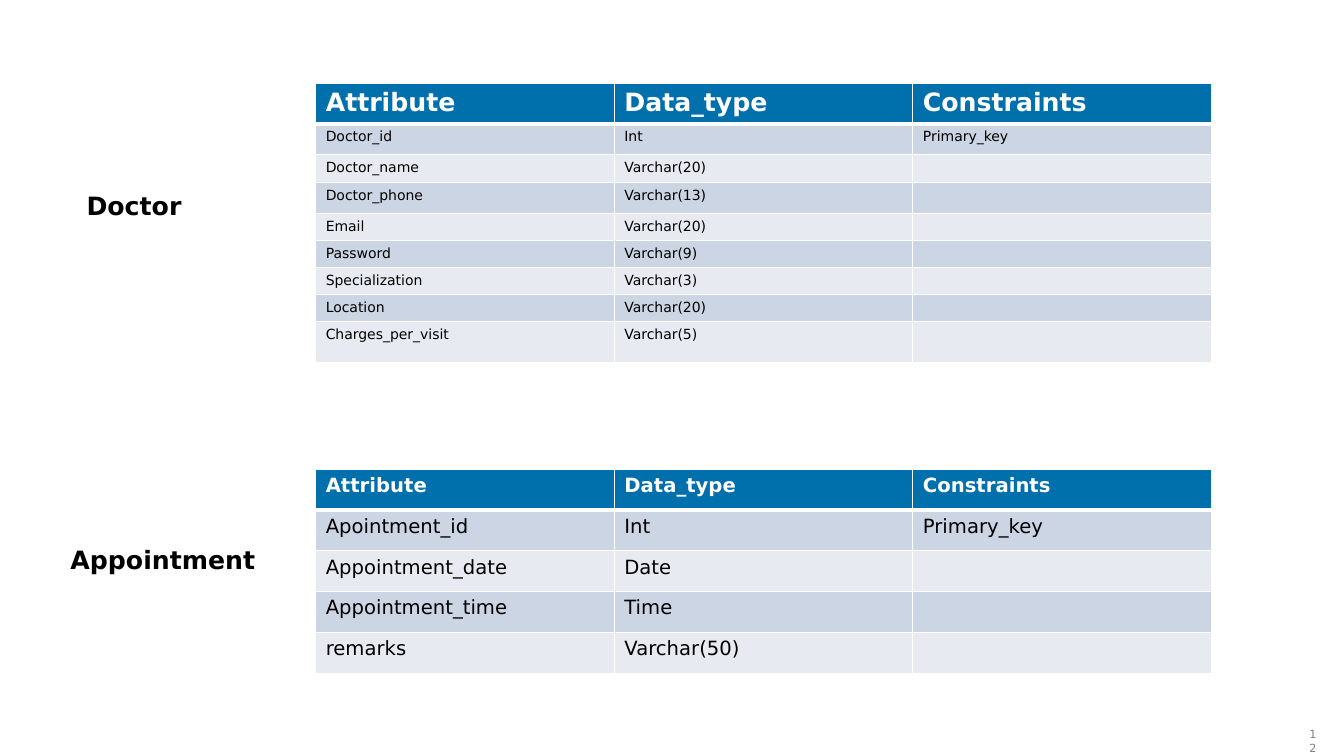
from dataclasses import dataclass

from lxml import etree
from pptx import Presentation
from pptx.dml.color import RGBColor
from pptx.enum import text
from pptx.oxml import ns
from pptx.slide import Slide
from pptx.table import _Cell
from pptx.text.text import Font
from pptx.util import Pt

FONT = "DejaVu Sans"
WHITE, BLACK, GREY = "FFFFFF", "000000", "808080"
HEADER_FILL = "0070AD"
BAND_FILLS = ("CCD5E3", "E7EBF1")
HEADINGS = ("Attribute", "Data_type", "Constraints")
TABLE_LEFT, COLUMN_WIDTH = 225.5, 213.3


@dataclass(frozen=True)
class Label:
    wording: str
    left: float
    top: float
    width: float = 218
    height: float = 29
    size: float = 18
    color: str = BLACK
    bold: bool = True
    align: text.PP_ALIGN = text.PP_ALIGN.LEFT


@dataclass(frozen=True)
class Entity:
    label: Label
    top: float
    header_size: float
    body_size: float
    row_heights: tuple[float, ...]
    attributes: tuple[tuple[str, ...], ...]


DOCTOR = Entity(
    label=Label("Doctor", 54.7, 132.5),
    top=59.3,
    header_size=18,
    body_size=10,
    row_heights=(29.3, 21.6, 20.3, 22, 19.3, 19.3, 19.3, 19.3, 29.3),
    attributes=(
        ("Doctor_id", "Int", "Primary_key"),
        ("Doctor_name", "Varchar(20)", ""),
        ("Doctor_phone", "Varchar(13)", ""),
        ("Email", "Varchar(20)", ""),
        ("Password", "Varchar(9)", ""),
        ("Specialization", "Varchar(3)", ""),
        ("Location", "Varchar(20)", ""),
        ("Charges_per_visit", "Varchar(5)", ""),
    ),
)
APPOINTMENT = Entity(
    label=Label("Appointment", 43.2, 385.2),
    top=335,
    header_size=14,
    body_size=14,
    row_heights=(29.2,) * 5,
    attributes=(
        ("Apointment_id", "Int", "Primary_key"),
        ("Appointment_date", "Date", ""),
        ("Appointment_time", "Time", ""),
        ("remarks", "Varchar(50)", ""),
    ),
)
PAGE_NUMBER = Label("12", 928, 516.2, 19.5, 17.3, 8, GREY, False, text.PP_ALIGN.RIGHT)


def rgb(color: str) -> RGBColor:
    return RGBColor.from_string(color)


def format_font(font: Font, size: float, color: str, bold: bool) -> None:
    for attribute, value in {"name": FONT, "size": Pt(size), "bold": bold}.items():
        setattr(font, attribute, value)
    font.color.rgb = rgb(color)


def add_label(slide: Slide, label: Label) -> None:
    bounds = (label.left, label.top, label.width, label.height)
    frame = slide.shapes.add_textbox(*map(Pt, bounds)).text_frame
    frame.word_wrap = True
    paragraph = frame.paragraphs[0]
    paragraph.alignment = label.align
    run = paragraph.add_run()
    run.text = label.wording
    format_font(run.font, label.size, label.color, label.bold)


def add_borders(cell: _Cell, widths: dict[str, float]) -> None:
    """Draw white borders; must run before the cell is filled."""
    properties = cell._tc.get_or_add_tcPr()
    for side, width in widths.items():
        line = etree.SubElement(properties, ns.qn(f"a:ln{side}"), w=str(Pt(width)))
        fill = etree.SubElement(line, ns.qn("a:solidFill"))
        etree.SubElement(fill, ns.qn("a:srgbClr"), val=WHITE)


def fill_cell(cell: _Cell, wording: str, row: int, entity: Entity) -> None:
    is_header = row == 0
    add_borders(cell, {"L": 1, "R": 1, "T": 3 if row == 1 else 1, "B": 3 if is_header else 1})
    cell.fill.solid()
    cell.fill.fore_color.rgb = rgb(HEADER_FILL if is_header else BAND_FILLS[(row - 1) % 2])
    size = entity.header_size if is_header else entity.body_size
    paragraph = cell.text_frame.paragraphs[0]
    if wording:
        run = paragraph.add_run()
        run.text = wording
        format_font(run.font, size, WHITE if is_header else BLACK, is_header)
    else:
        etree.SubElement(paragraph._p, ns.qn("a:endParaRPr"), sz=str(int(size * 100)))


def add_entity_table(slide: Slide, entity: Entity) -> None:
    rows = (HEADINGS, *entity.attributes)
    bounds = (TABLE_LEFT, entity.top, COLUMN_WIDTH * len(HEADINGS), sum(entity.row_heights))
    table = slide.shapes.add_table(len(rows), len(HEADINGS), *map(Pt, bounds)).table
    for column in table.columns:
        column.width = Pt(COLUMN_WIDTH)
    for row, (height, wordings) in enumerate(zip(entity.row_heights, rows)):
        table.rows[row].height = Pt(height)
        for column, wording in enumerate(wordings):
            fill_cell(table.cell(row, column), wording, row, entity)


def main() -> None:
    presentation = Presentation()
    presentation.slide_width, presentation.slide_height = Pt(960), Pt(540)
    slide = presentation.slides.add_slide(presentation.slide_layouts[6])
    add_label(slide, PAGE_NUMBER)
    for entity in (DOCTOR, APPOINTMENT):
        add_entity_table(slide, entity)
        add_label(slide, entity.label)
    presentation.save("out.pptx")


if __name__ == "__main__":
    main()
